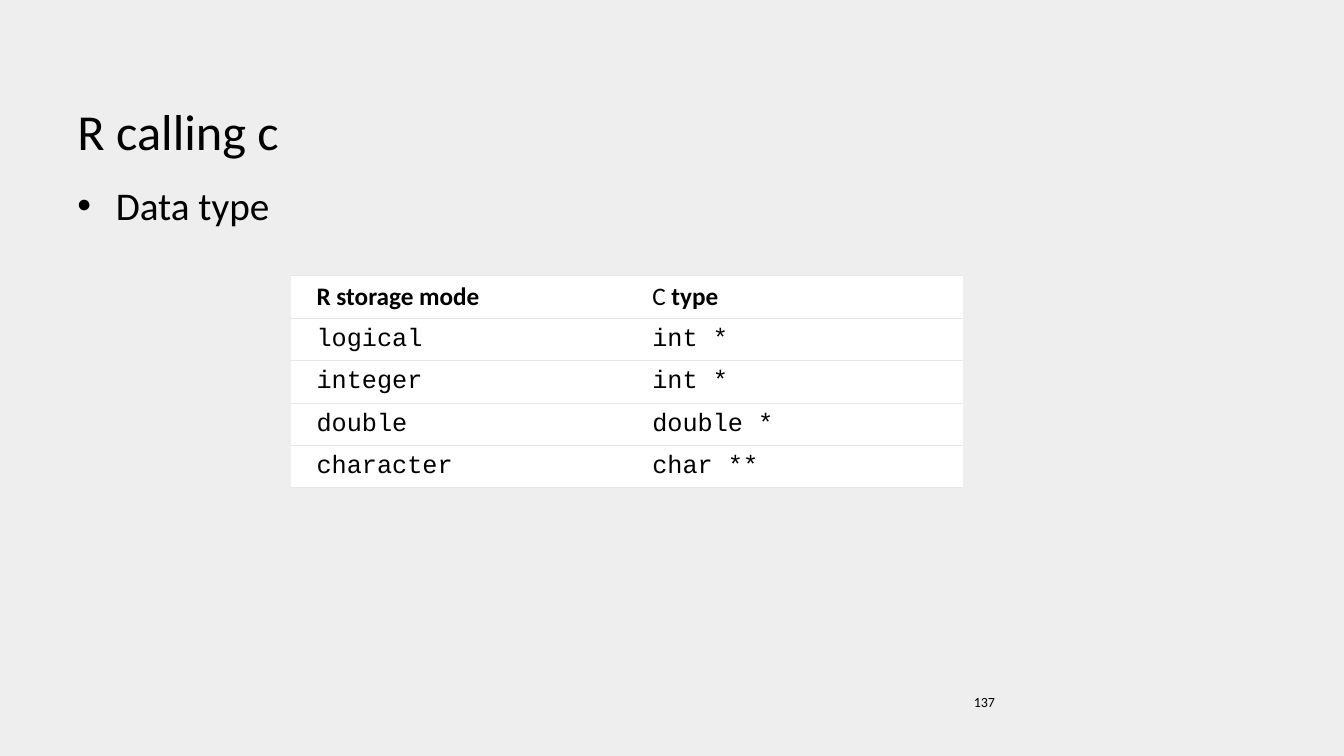
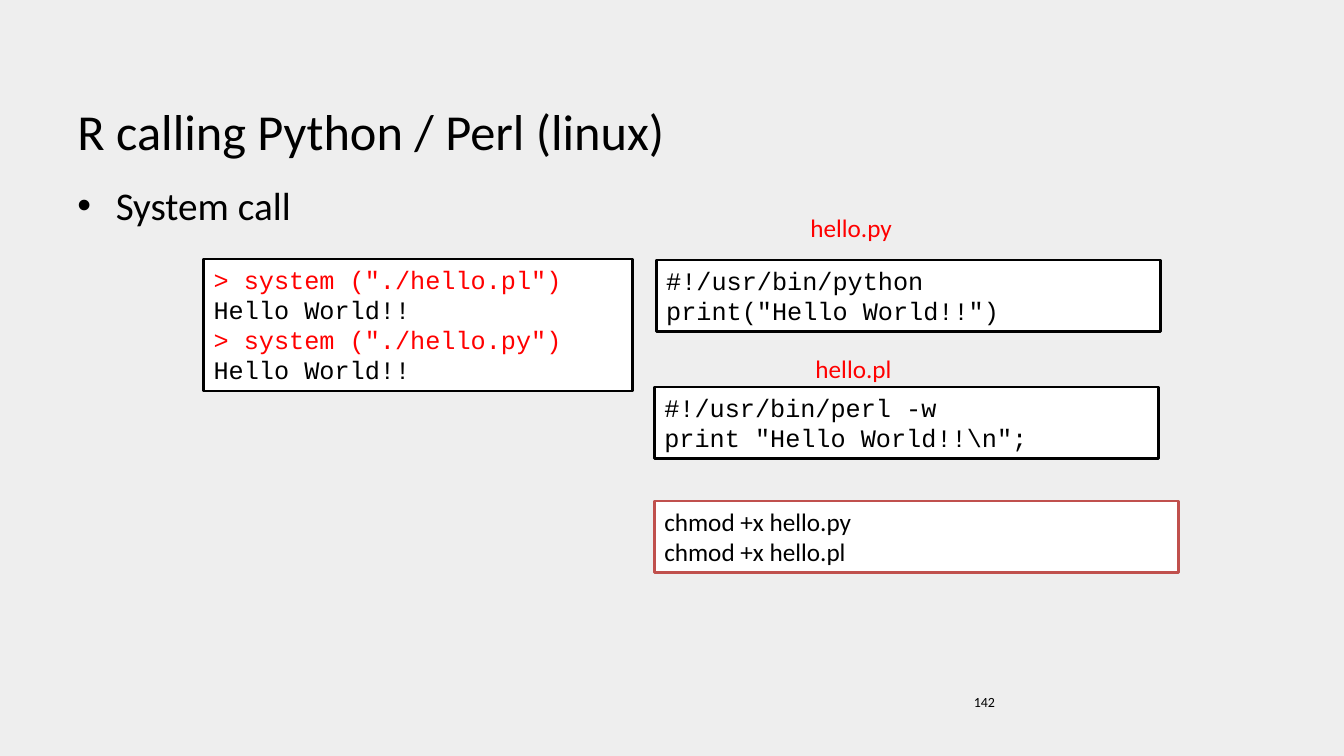
from lxml.etree import SubElement
from pptx import Presentation
from pptx.dml.color import RGBColor
from pptx.enum.shapes import MSO_SHAPE as Preset
from pptx.enum.text import MSO_ANCHOR as Anchor, PP_ALIGN as Align
from pptx.oxml import parse_xml
from pptx.oxml.ns import nsdecls, qn
from pptx.util import Inches, Pt

BACKGROUND = RGBColor(0xEE, 0xEE, 0xEE)
BLACK = RGBColor(0, 0, 0)
WHITE = RGBColor(0xFF, 0xFF, 0xFF)
RED = RGBColor(0xFF, 0, 0)
BRICK = RGBColor(0xC0, 0x50, 0x4D)
RULE_COLOR = "E7E7E7"

BODY = {"name": "Calibri", "size": Pt(18), "bold": False, "color": BLACK}
BOLD = BODY | {"bold": True}
LABEL = BODY | {"color": RED}
CODE = BODY | {"name": "Courier New"}
COMMAND = CODE | {"color": RED}
TITLE = BODY | {"size": Pt(36)}
BULLET = BODY | {"size": Pt(28)}
NUMBER = BODY | {"size": Pt(10)}

TYPES_TITLE = ("R calling c", "Data type", "137")
TYPES_HEADER = [[("R storage mode", BOLD)], [("C ", BODY), ("type", BOLD)]]
TYPES = [
    ("logical", "int *"),
    ("integer", "int *"),
    ("double", "double *"),
    ("character", "char **"),
]
TYPES_PLACE = (2.89, 2.73)
COLUMN_WIDTH, HEADER_HEIGHT, ROW_HEIGHT = 3.33, 0.43, 0.41

SCRIPTS_TITLE = ("R calling Python / Perl (linux)", "System call", "142")
CODE_BOXES = [
    ((2.02, 2.57, 4.25, 1.31), BLACK, [
        ('> system ("./hello.pl")', COMMAND),
        ("Hello World!!", CODE),
        ('> system ("./hello.py")', COMMAND),
        ("Hello World!!", CODE),
    ]),
    ((6.51, 2.58, 5, 0.71), BLACK, [
        ("#!/usr/bin/python", CODE),
        ('print("Hello World!!")', CODE),
    ]),
    ((6.49, 3.84, 5, 0.71), BLACK, [
        ("#!/usr/bin/perl -w", CODE),
        (r'print "Hello World!!\n";', CODE),
    ]),
    ((6.49, 4.97, 5.2, 0.71), BRICK, [
        ("chmod +x hello.py", BODY),
        ("chmod +x hello.pl", BODY),
    ]),
]
FILE_LABELS = [
    ((7.94, 2.06, 1.07, 0.4), "hello.py"),
    ((7.99, 3.46, 1.07, 0.4), "hello.pl"),
]


def inches(values):
    return [Inches(value) for value in values]


def add_run(paragraph, text, style):
    run = paragraph.add_run()
    run.text = text
    for name, value in style.items():
        if name == "color":
            run.font.color.rgb = value
        else:
            setattr(run.font, name, value)


def write_lines(frame, lines):
    frame.word_wrap = True
    for index, (text, style) in enumerate(lines):
        paragraph = frame.add_paragraph() if index else frame.paragraphs[0]
        paragraph.alignment = Align.LEFT
        add_run(paragraph, text, style)


def add_text(slide, place, text, style, anchor=Anchor.TOP):
    frame = slide.shapes.add_textbox(*inches(place)).text_frame
    frame.vertical_anchor = anchor
    write_lines(frame, [(text, style)])
    return frame.paragraphs[0]


def add_bullet(paragraph):
    properties = paragraph._p.get_or_add_pPr()
    properties.set("marL", str(Inches(0.38)))
    properties.set("indent", str(-Inches(0.38)))
    SubElement(properties, qn("a:buFont"), typeface="Arial")
    SubElement(properties, qn("a:buChar"), char="•")


def add_base(presentation, title, bullet, number):
    slide = presentation.slides.add_slide(presentation.slide_layouts[6])
    slide.background.fill.solid()
    slide.background.fill.fore_color.rgb = BACKGROUND
    add_bullet(add_text(slide, (0.67, 1.75, 12, 4.95), bullet, BULLET))
    add_text(slide, (0.67, 0.39, 12, 1.25), title, TITLE, Anchor.BOTTOM)
    add_text(slide, (9.56, 6.83, 3.11, 0.52), number, NUMBER)
    return slide


def add_code_box(slide, place, line_color, lines):
    shape = slide.shapes.add_shape(Preset.RECTANGLE, *inches(place))
    shape.shadow.inherit = False
    shape.fill.solid()
    shape.fill.fore_color.rgb = WHITE
    shape.line.color.rgb = line_color
    shape.line.width = Pt(2)
    shape.text_frame.vertical_anchor = Anchor.TOP
    write_lines(shape.text_frame, lines)


def set_borders(cell):
    ruled = f'<a:solidFill><a:srgbClr val="{RULE_COLOR}"/></a:solidFill>'
    sides = {"lnL": "<a:noFill/>", "lnR": "<a:noFill/>", "lnT": ruled, "lnB": ruled}
    properties = cell._tc.get_or_add_tcPr()
    for index, (side, paint) in enumerate(sides.items()):
        border = f'<a:{side} {nsdecls("a")} w="{Pt(0.75)}">{paint}</a:{side}>'
        properties.insert(index, parse_xml(border))


def fill_cell(cell, runs):
    layout = {
        "margin_left": Inches(0.25), "margin_right": Inches(0.25),
        "margin_top": Inches(0.06), "margin_bottom": Inches(0.06),
        "vertical_anchor": Anchor.MIDDLE,
    }
    for name, value in layout.items():
        setattr(cell, name, value)
    cell.fill.solid()
    cell.fill.fore_color.rgb = WHITE
    set_borders(cell)
    for text, style in runs:
        add_run(cell.text_frame.paragraphs[0], text, style)


def add_types_table(slide):
    rows = [TYPES_HEADER] + [[[(text, CODE)] for text in row] for row in TYPES]
    size = (2 * COLUMN_WIDTH, HEADER_HEIGHT + len(TYPES) * ROW_HEIGHT)
    table = slide.shapes.add_table(len(rows), 2, *inches(TYPES_PLACE + size)).table
    table.first_row = table.horz_banding = False
    for column in table.columns:
        column.width = Inches(COLUMN_WIDTH)
    for index, row in enumerate(rows):
        table.rows[index].height = Inches(ROW_HEIGHT if index else HEADER_HEIGHT)
        for column, runs in enumerate(row):
            fill_cell(table.cell(index, column), runs)


def main():
    presentation = Presentation()
    presentation.slide_width, presentation.slide_height = inches((13.33, 7.5))

    add_types_table(add_base(presentation, *TYPES_TITLE))

    slide = add_base(presentation, *SCRIPTS_TITLE)
    for place, line_color, lines in CODE_BOXES:
        add_code_box(slide, place, line_color, lines)
    for place, text in FILE_LABELS:
        add_text(slide, place, text, LABEL)

    presentation.save("out.pptx")


if __name__ == "__main__":
    main()
